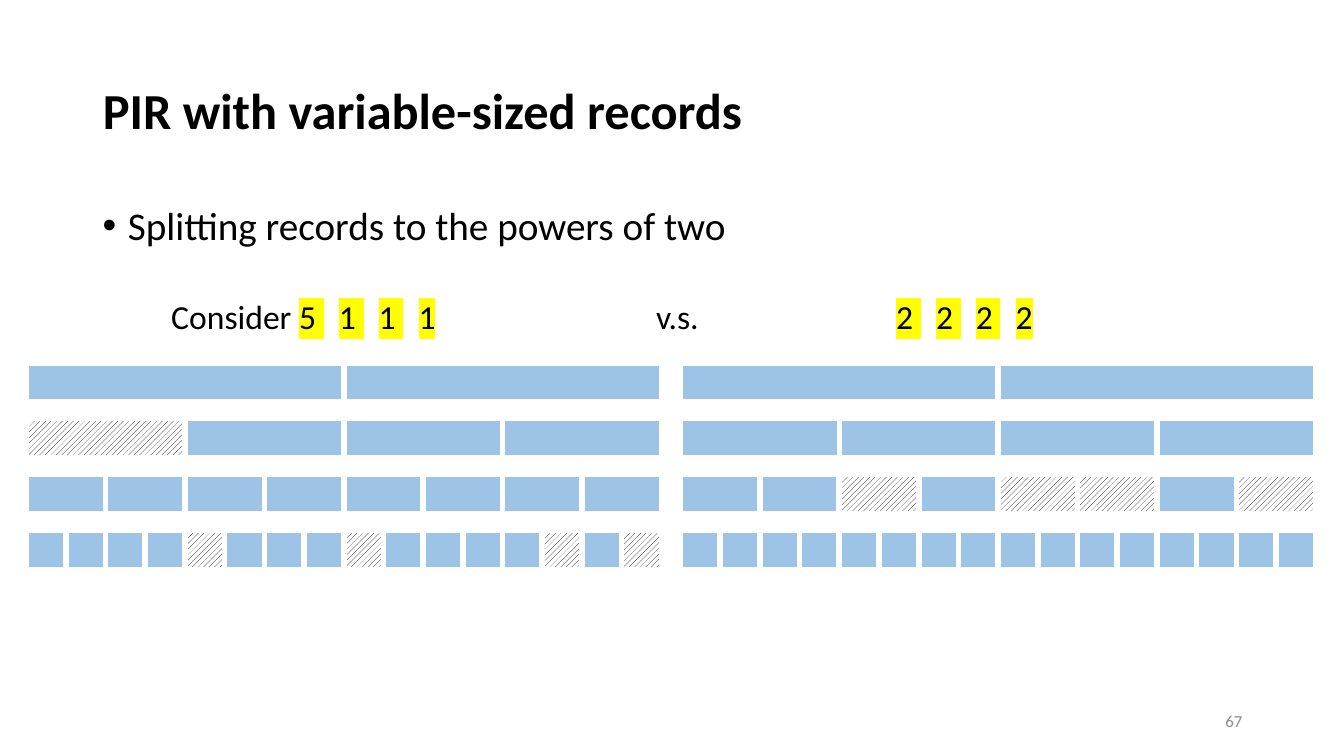
from lxml.etree import SubElement
from pptx import Presentation
from pptx.dml.color import RGBColor
from pptx.enum.dml import MSO_PATTERN
from pptx.enum.shapes import MSO_SHAPE
from pptx.enum.text import MSO_ANCHOR, MSO_AUTO_SIZE, PP_ALIGN
from pptx.oxml import parse_xml
from pptx.oxml.ns import nsdecls, qn
from pptx.util import Inches, Pt

FONT = "Calibri"
BLACK, WHITE, BLUE, GRAY, YELLOW = "000000", "FFFFFF", "9DC3E6", "8C8C8C", "FFFF00"
MARGIN, CONTENT_WIDTH = 0.92, 11.5
LEFT_USED = {4: {0}, 16: {4, 8, 13, 15}}
RIGHT_USED = {8: {2, 4, 5, 7}}


def color(hex_string):
    """Turn a hex string into a colour."""
    return RGBColor.from_string(hex_string)


def place(shape, box):
    """Move a shape to a box given in inches."""
    shape.left, shape.top, shape.width, shape.height = map(Inches, box)


def style(font, size, hex_string=BLACK, bold=False):
    """Format a font."""
    font.name, font.size, font.bold = FONT, Pt(size), bold
    font.color.rgb = color(hex_string)


def add_text_box(slide, box, anchor=MSO_ANCHOR.TOP):
    """Add an empty wrapping text box and return its text frame."""
    text_frame = slide.shapes.add_textbox(*map(Inches, box)).text_frame
    text_frame.word_wrap = True
    text_frame.vertical_anchor = anchor
    return text_frame


def add_title(slide, box, text):
    """Place and format the title."""
    title = slide.shapes.title
    place(title, box)
    text_frame = title.text_frame
    text_frame.text = text
    text_frame.auto_size = MSO_AUTO_SIZE.NONE
    text_frame.vertical_anchor = MSO_ANCHOR.MIDDLE
    paragraph = text_frame.paragraphs[0]
    paragraph.alignment = PP_ALIGN.LEFT
    paragraph.line_spacing = 0.9
    style(paragraph.runs[0].font, 36, bold=True)


def add_bullet(slide, box, text):
    """Add the bulleted statement."""
    text_frame = add_text_box(slide, box)
    text_frame.text = text
    paragraph = text_frame.paragraphs[0]
    paragraph.line_spacing = 0.9
    properties = paragraph._p.get_or_add_pPr()
    properties.set("marL", str(Inches(0.25)))
    properties.set("indent", str(-Inches(0.25)))
    SubElement(properties, qn("a:buFont"), typeface="Arial")
    SubElement(properties, qn("a:buChar"), char="•")
    style(paragraph.runs[0].font, 28)


def add_run(paragraph, text):
    """Add a run of the comparison line and return its properties."""
    run = paragraph.add_run()
    run.text = text
    style(run.font, 24)
    return run._r.get_or_add_rPr()


def add_sizes(paragraph, sizes):
    """Add highlighted record sizes with widened spaces."""
    for character in sizes:
        properties = add_run(paragraph, character)
        if character == " ":
            properties.set("spc", "1085")
        properties.find(qn("a:solidFill")).addnext(parse_xml(
            f'<a:highlight {nsdecls("a")}><a:srgbClr val="{YELLOW}"/></a:highlight>'))


def add_comparison(slide, box):
    """Add the line that compares two sets of record sizes."""
    paragraph = add_text_box(slide, box).paragraphs[0]
    tabs = SubElement(paragraph._p.get_or_add_pPr(), qn("a:tabLst"))
    for position in (4.81, 7.19):
        SubElement(tabs, qn("a:tab"), pos=str(Inches(position)), algn="l")
    add_run(paragraph, "Consider ")
    add_sizes(paragraph, "5 1 1 1")
    add_run(paragraph, "\tv.s.\t")
    add_sizes(paragraph, "2 2 2 2")


def add_block(slide, box, used):
    """Add one block, hatched if it is used."""
    block = slide.shapes.add_shape(MSO_SHAPE.RECTANGLE, *map(Inches, box))
    block.shadow.inherit = False
    block.line.color.rgb = color(WHITE)
    block.line.width = Pt(4)
    if used:
        block.fill.patterned()
        block.fill.pattern = MSO_PATTERN.WIDE_UPWARD_DIAGONAL
        block.fill.fore_color.rgb = color(BLACK)
        block.fill.back_color.rgb = color(WHITE)
    else:
        block.fill.solid()
        block.fill.fore_color.rgb = color(BLUE)


def add_block_rows(slide, box, used_blocks):
    """Fill a box with four rows, each with twice the blocks of the row above."""
    left, top, width, height = box
    block_height = 0.39
    row_step = (height - block_height) / 3
    for row in range(4):
        count = 2 ** (row + 1)
        block_width = width / count
        for column in range(count):
            block_box = (left + column * block_width, top + row * row_step,
                         block_width, block_height)
            add_block(slide, block_box, column in used_blocks.get(count, ()))


def add_slide_number(slide, box, text):
    """Add the slide number."""
    text_frame = add_text_box(slide, box, MSO_ANCHOR.MIDDLE)
    text_frame.text = text
    paragraph = text_frame.paragraphs[0]
    paragraph.alignment = PP_ALIGN.RIGHT
    style(paragraph.runs[0].font, 12, GRAY)


def main():
    """Build and save the presentation."""
    presentation = Presentation()
    presentation.slide_width, presentation.slide_height = Inches(13.33), Inches(7.5)
    slide = presentation.slides.add_slide(presentation.slide_layouts[5])
    add_title(slide, (MARGIN, 0.4, CONTENT_WIDTH, 1.45), "PIR with variable-sized records")
    add_bullet(slide, (MARGIN, 2, CONTENT_WIDTH, 0.6), "Splitting records to the powers of two")
    add_comparison(slide, (1.6, 2.89, 9.98, 0.5))
    for left, used_blocks in ((0.26, LEFT_USED), (6.75, RIGHT_USED)):
        add_block_rows(slide, (left, 3.6, 6.3, 2.05), used_blocks)
    add_slide_number(slide, (9.42, 6.95, 3, 0.4), "67")
    presentation.save("out.pptx")


if __name__ == "__main__":
    main()
